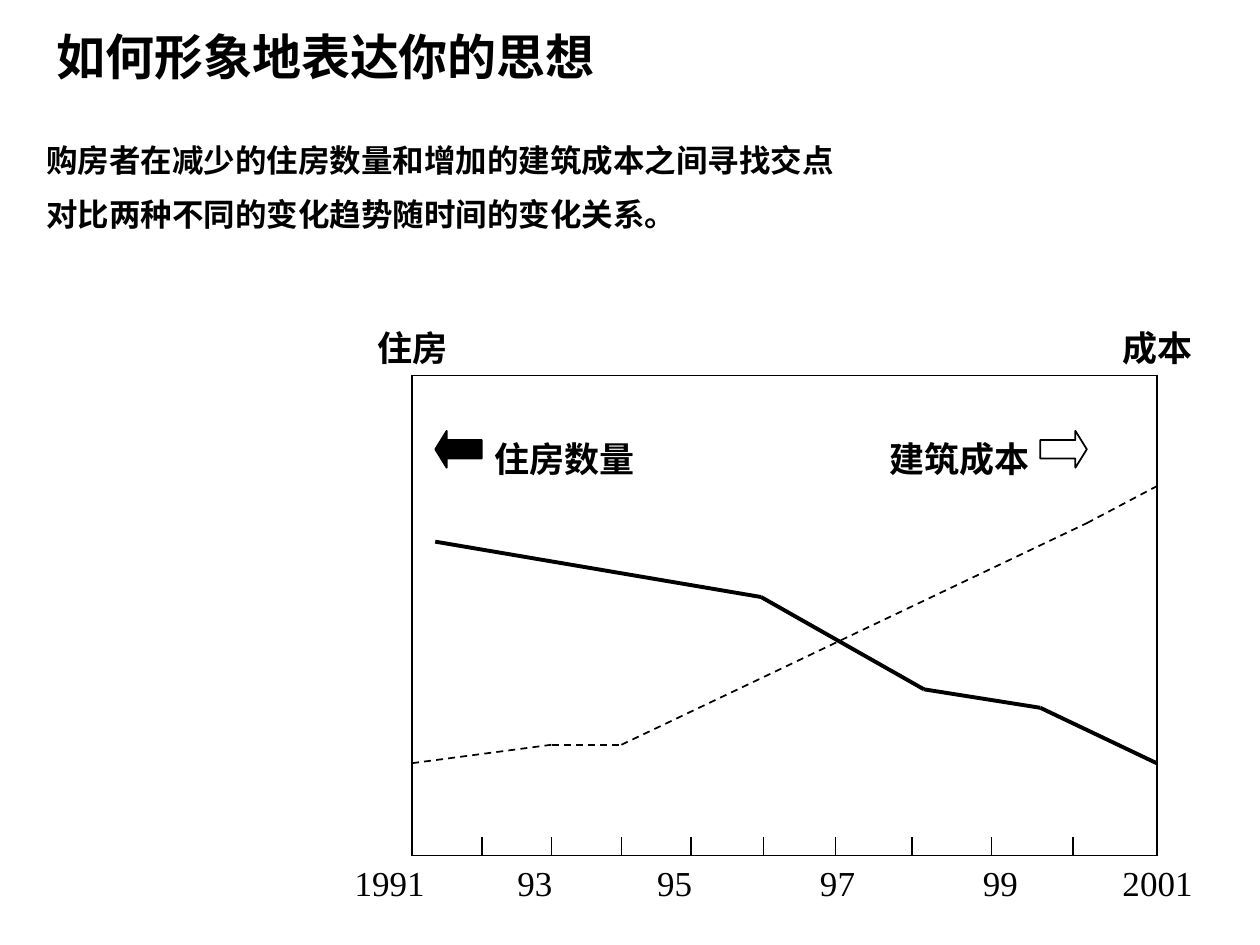
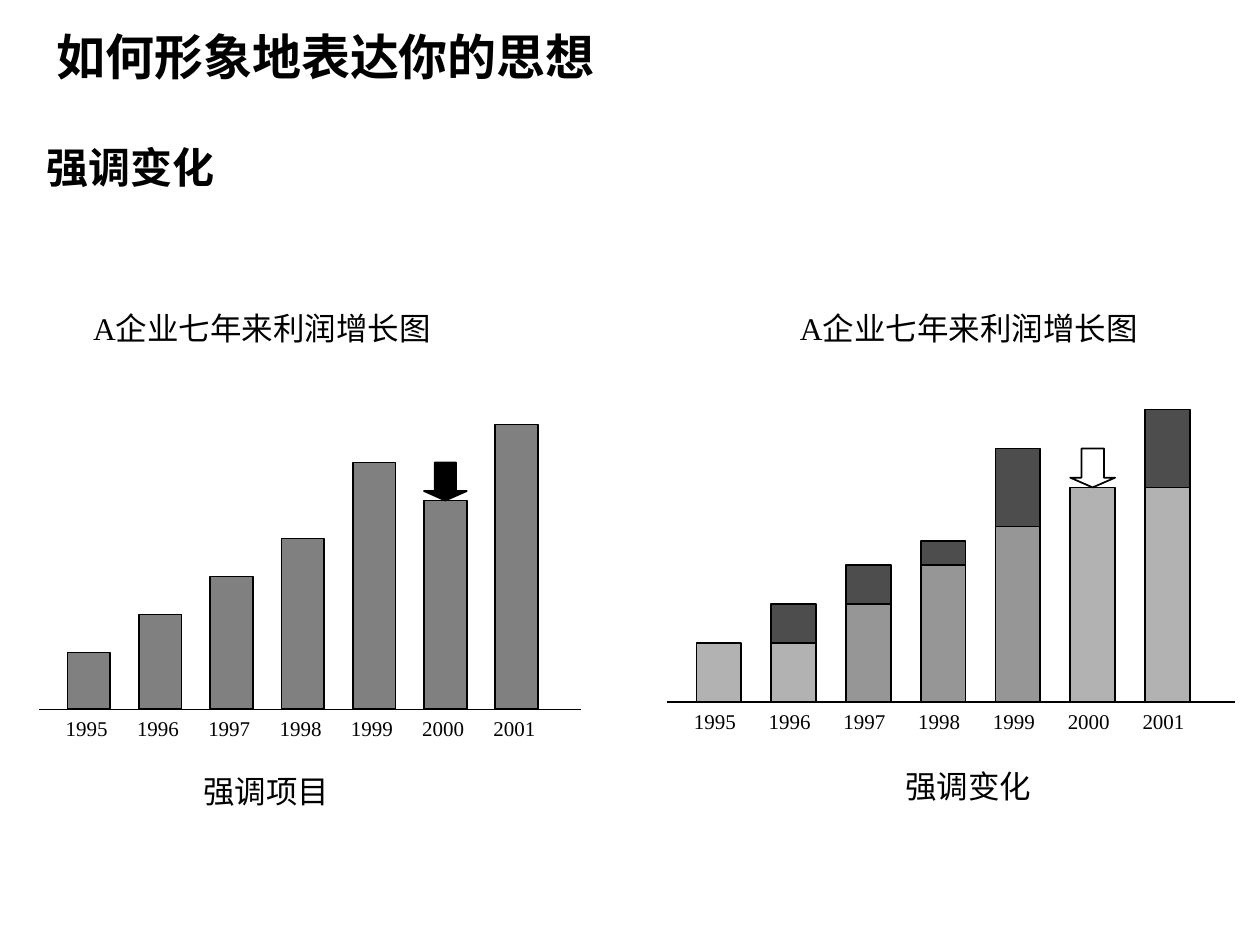
from dataclasses import dataclass
from itertools import pairwise

from lxml.etree import SubElement
from pptx import Presentation
from pptx.dml.color import RGBColor
from pptx.enum.dml import MSO_LINE
from pptx.enum.shapes import MSO_CONNECTOR, MSO_SHAPE as Shape
from pptx.enum.text import MSO_ANCHOR as Anchor, PP_ALIGN as Align
from pptx.oxml.ns import qn
from pptx.util import Inches, Pt

BLACK, WHITE = "000000", "FFFFFF"
GREY, DARK, MEDIUM, LIGHT = "808080", "4D4D4D", "969696", "B2B2B2"
SANS, SERIF = "Arial", "Times New Roman"
TITLE = "如何形象地表达你的思想"


@dataclass
class Grid:
    """A box in inches, divided into columns and rows."""
    left: float
    top: float
    width: float
    height: float
    columns: int
    rows: int

    def point(self, column, row):
        return (Inches(self.left + column * self.width / self.columns),
                Inches(self.top + row * self.height / self.rows))

    def box(self, column, row, columns, rows):
        return (*self.point(column, row),
                Inches(columns * self.width / self.columns),
                Inches(rows * self.height / self.rows))


PAGE = Grid(0, 0, 10, 7.5, 100, 75)


def color(hex_code):
    return RGBColor.from_string(hex_code)


def add_text(page, box, lines, size, font=SERIF, bold=False,
             align=Align.JUSTIFY, anchor=Anchor.TOP, hanging=0, gap=0):
    frame = page.shapes.add_textbox(*box).text_frame
    frame.word_wrap = True
    frame.vertical_anchor = anchor
    frame.text = "\n".join(lines)
    for number, para in enumerate(frame.paragraphs):
        para.alignment = align
        para.space_before = Pt(gap if number else 0)
        para.space_after = Pt(gap)
        if hanging:
            properties = para._p.get_or_add_pPr()
            properties.set("marL", str(Inches(hanging)))
            properties.set("indent", str(-Inches(hanging)))
        for span in para.runs:
            span.font.name, span.font.size, span.font.bold = font, Pt(size), bold
            span.font.color.rgb = color(BLACK)


def add_block(page, box, kind, fill=None, head=None):
    block = page.shapes.add_shape(kind, *box)
    block.shadow.inherit = False
    if head:
        block.adjustments[1] = head
    if fill:
        block.fill.solid()
        block.fill.fore_color.rgb = color(fill)
    else:
        block.fill.background()
    block.line.color.rgb = color(BLACK)
    block.line.width = Pt(1)


def add_path(page, grid, points, width=1, dash=None):
    for start, end in pairwise(points):
        line = page.shapes.add_connector(
            MSO_CONNECTOR.STRAIGHT, *grid.point(*start), *grid.point(*end))
        line.line.color.rgb = color(BLACK)
        line.line.width = Pt(width)
        if dash:
            line.line.dash_style = dash
        SubElement(line._element.spPr, qn("a:effectLst"))


def add_page(deck, lines, size, gap):
    page = deck.slides.add_slide(deck.slide_layouts[6])
    add_text(page, PAGE.box(3.5, 1.3, 73.3, 6.3), [TITLE], 28, SANS, True,
             align=Align.LEFT, anchor=Anchor.MIDDLE)
    add_text(page, PAGE.box(2.7, 10.7, 92.9, 57.5), lines, size, SANS, True,
             hanging=0.38, gap=gap)
    return page


def draw_trends(page, grid):
    right, bottom = grid.columns, grid.rows

    # Frame and year ticks
    add_path(page, grid, [(0, 0), (right, 0), (right, bottom), (0, bottom), (0, 0)])
    for column in (3, 6, 9, 12, 15.1, 18.2, 21.5, 24.9, 28.4):
        add_path(page, grid, [(column, bottom - 1), (column, bottom)])
    years = {"1991": -3, "93": 4, "95": 10, "97": 17, "99": 24, "2001": 30}
    for year, column in years.items():
        add_text(page, grid.box(column, bottom, 5, 3), [year], 20)

    # Housing falls while building cost rises
    add_path(page, grid, [(1, 9), (15, 12), (22, 17), (27, 18), (right, 21)], 2.25)
    add_path(page, grid, [(0, 21), (6, 20), (9, 20), (29, 8), (right, 6)],
             dash=MSO_LINE.DASH)

    # Axis names and key
    add_block(page, grid.box(1, 3, 2, 2), Shape.LEFT_ARROW, BLACK, 0.31)
    add_block(page, grid.box(27, 3, 2, 2), Shape.RIGHT_ARROW, WHITE, 0.31)
    for label, column, row, columns, rows in (
            ("住房", -2, -3, 6, 3), ("成本", 30, -3, 6, 3),
            ("住房数量", 3, 3, 8, 4), ("建筑成本", 20, 3, 8, 4)):
        add_text(page, grid.box(column, row, columns, rows), [label], 20, bold=True)


def draw_profit(page, grid, bars, arrow_fill):
    """Each bar lists its layers as (height in rows, fill), back to front."""
    base = grid.rows
    for number, layers in enumerate(bars):
        column = 2 + 5 * number
        year = 1995 + number
        for height, fill in layers:
            add_block(page, grid.box(column, base - height, 3, height),
                      Shape.RECTANGLE, fill)
        add_text(page, grid.box(column - 1, base, 5, 3), [str(year)], 12)
        # The arrow marks the year of the drop
        if year == 2000:
            add_block(page, grid.box(column, base - layers[0][0] - 2, 3, 2),
                      Shape.DOWN_ARROW, arrow_fill, 0.25)
    add_path(page, grid, [(0, base), (grid.columns, base)])


def build_trend_page(deck):
    page = add_page(deck, ["购房者在减少的住房数量和增加的建筑成本之间寻找交点",
                           "对比两种不同的变化趋势随时间的变化关系。"], 18, 4.5)
    draw_trends(page, Grid(3.27, 2.98, 5.91, 3.81, 32, 26))


def build_change_page(deck):
    page = add_page(deck, ["强调变化"], 24, 6)
    items = [[(height, GREY)] for height in (3, 5, 7, 9, 13, 11, 15)]
    changes = [
        [(3, LIGHT)],
        [(5, DARK), (3, LIGHT)],
        [(7, DARK), (5, MEDIUM)],
        [(8.25, DARK), (7, MEDIUM)],
        [(13, DARK), (9, MEDIUM)],
        [(11, LIGHT)],
        [(15, DARK), (11, LIGHT)],
    ]
    draw_profit(page, Grid(0.31, 3.37, 4.3, 2.26, 38, 15), items, BLACK)
    draw_profit(page, Grid(5.29, 3.25, 4.51, 2.32, 38, 15), changes, None)

    # Headings and captions
    for column in (6.4, 62.5):
        add_text(page, PAGE.box(column, 24, 32.9, 4), ["A企业七年来利润增长图"],
                 18, align=Align.LEFT)
    for caption, column, row in (("强调项目", 11, 60.8), ("强调变化", 66.7, 60.4)):
        add_text(page, PAGE.box(column, row, 20.3, 4), [caption],
                 18, align=Align.CENTER)


def main():
    deck = Presentation()
    deck.slide_width, deck.slide_height = Inches(PAGE.width), Inches(PAGE.height)
    build_trend_page(deck)
    build_change_page(deck)
    deck.save("out.pptx")


if __name__ == "__main__":
    main()
